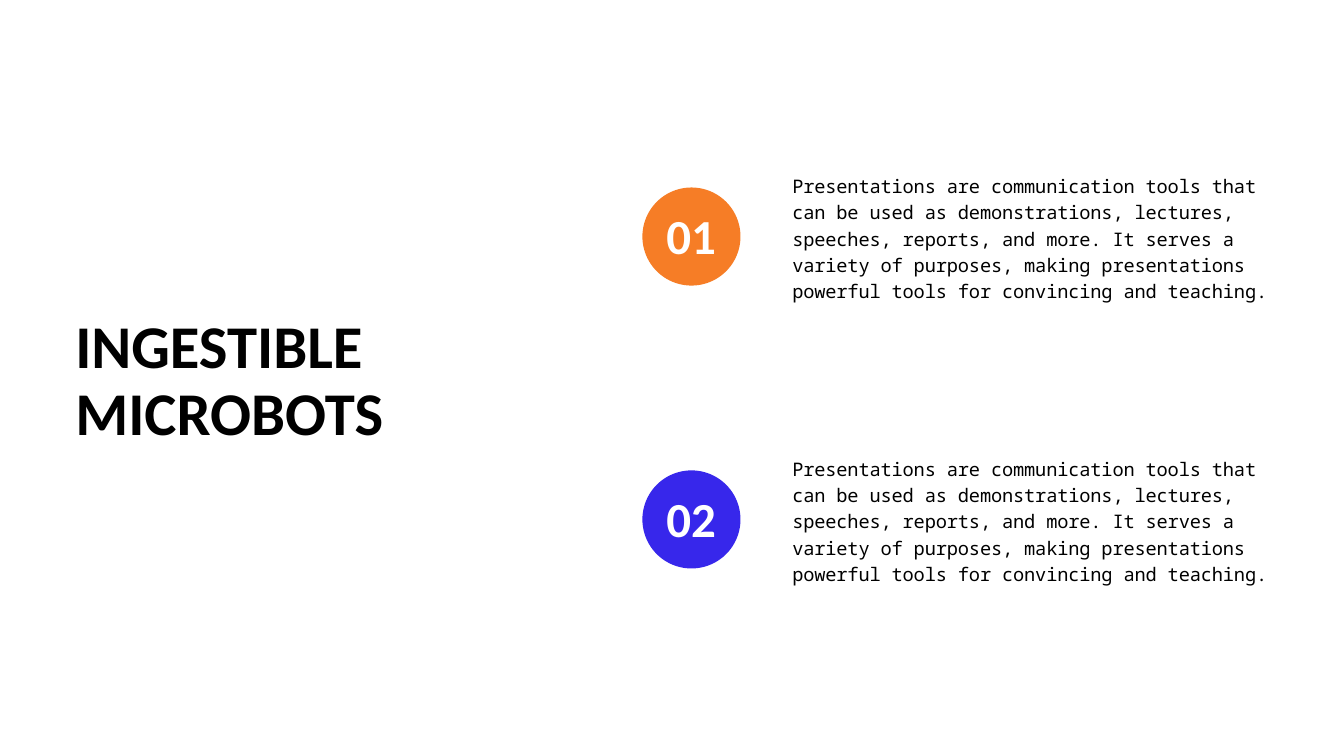
from dataclasses import dataclass

from pptx import Presentation
from pptx.dml.color import RGBColor
from pptx.enum import shapes, text
from pptx.util import Inches, Pt

COLORS = {"ink": "000000", "paper": "FFFFFF", "orange": "F67D26", "blue": "3727EB"}
DESCRIPTION = (
    "Presentations are communication tools that can be used as demonstrations, "
    "lectures, speeches, reports, and more. It serves a variety of purposes, "
    "making presentations powerful tools for convincing and teaching."
)
FIRST_TOP, ROW_PITCH = 2.55, 4.21


@dataclass
class TextStyle:
    font: str
    size: float
    leading: float
    color: str
    bold: bool = False
    align: text.PP_ALIGN = text.PP_ALIGN.LEFT
    tracking: float = 0


@dataclass
class Point:
    number: str
    color: str
    description: str


HEADING = TextStyle("Calibri", 65, 71.5, "ink", bold=True)
BODY = TextStyle("Noto Sans Mono", 20, 28, "ink", tracking=-0.2)
NUMBER = TextStyle("Calibri", 52.4, 57.6, "paper", bold=True,
                   align=text.PP_ALIGN.CENTER)

POINTS = [
    Point("01", "orange", DESCRIPTION),
    Point("02", "blue", DESCRIPTION),
]


def write(frame, wording: str, style: TextStyle) -> None:
    """Fill a text frame with one styled run, without margins."""
    frame.word_wrap = True
    frame.auto_size = text.MSO_AUTO_SIZE.NONE
    frame.vertical_anchor = text.MSO_ANCHOR.TOP
    frame.margin_left = frame.margin_right = 0
    frame.margin_top = frame.margin_bottom = 0
    paragraph = frame.paragraphs[0]
    paragraph.alignment = style.align
    paragraph.line_spacing = Pt(style.leading)
    paragraph.space_before = Pt(0)
    run = paragraph.add_run()
    run.text = wording
    run.font.name = style.font
    run.font.size = Pt(style.size)
    run.font.bold = style.bold
    run.font.color.rgb = RGBColor.from_string(COLORS[style.color])
    if style.tracking:
        run._r.get_or_add_rPr().set("spc", str(round(style.tracking * 100)))


def add_text(parent, left: float, top: float, width: float, height: float,
             wording: str, style: TextStyle) -> None:
    box = parent.add_textbox(Inches(left), Inches(top), Inches(width), Inches(height))
    write(box.text_frame, wording, style)


def add_point(slide, point: Point, top: float) -> None:
    """Draw a description with its numbered circle on the left."""
    add_text(slide.shapes, 11.79, top, 7.09, 1.89, point.description, BODY)
    badge = slide.shapes.add_group_shape().shapes
    circle = badge.add_shape(shapes.MSO_SHAPE.OVAL, Inches(9.56), Inches(top + 0.24),
                             Inches(1.46), Inches(1.46))
    circle.shadow.inherit = False
    circle.fill.solid()
    circle.fill.fore_color.rgb = RGBColor.from_string(COLORS[point.color])
    circle.line.fill.background()
    add_text(badge, 9.78, top + 0.58, 1.01, 0.82, point.number, NUMBER)


def main() -> None:
    deck = Presentation()
    deck.slide_width, deck.slide_height = Inches(20), Inches(11.25)
    slide = deck.slides.add_slide(deck.slide_layouts.get_by_name("Title Only"))
    slide.background.fill.solid()
    slide.background.fill.fore_color.rgb = RGBColor.from_string(COLORS["paper"])

    # Title
    title = slide.shapes.title
    title.left, title.top = Inches(1.12), Inches(4.67)
    title.width, title.height = Inches(7.19), Inches(1.98)
    write(title.text_frame, "INGESTIBLE MICROBOTS", HEADING)

    # Numbered points
    for row, point in enumerate(POINTS):
        add_point(slide, point, FIRST_TOP + row * ROW_PITCH)

    deck.save("out.pptx")


if __name__ == "__main__":
    main()
